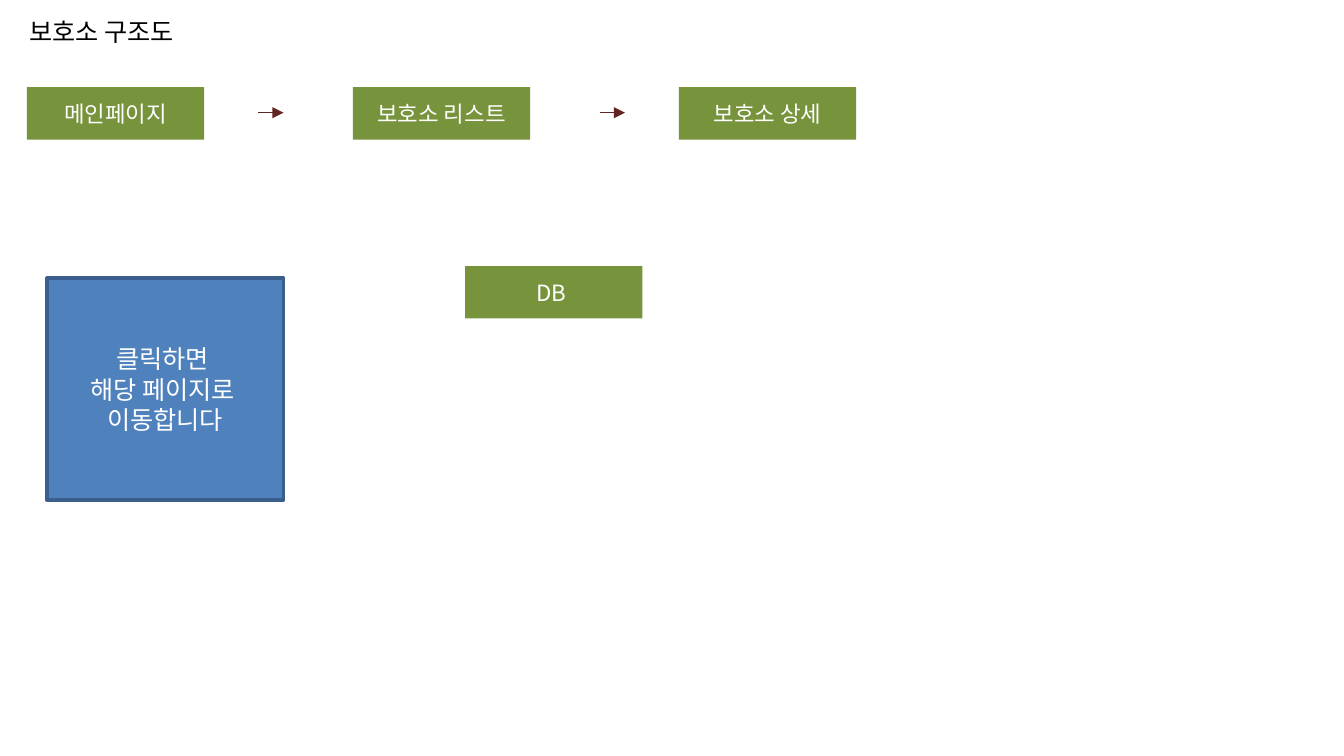
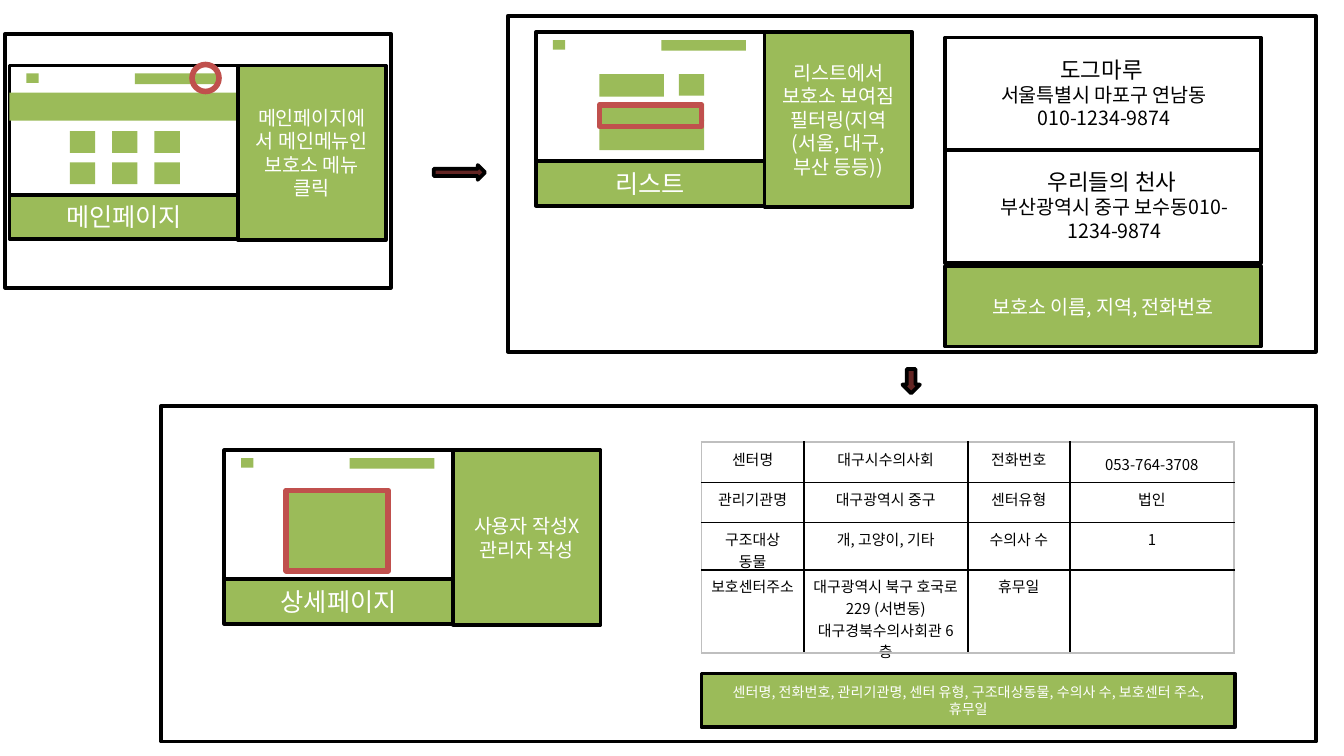
from lxml.etree import SubElement
from pptx import Presentation
from pptx.dml.color import RGBColor
from pptx.enum.shapes import MSO_CONNECTOR, MSO_SHAPE
from pptx.enum.text import MSO_ANCHOR, MSO_AUTO_SIZE, PP_ALIGN
from pptx.oxml.ns import qn
from pptx.util import Cm, Pt

FONT = "Noto Sans CJK KR"
COLORS = {
    "black": "000000",
    "white": "FFFFFF",
    "blue": "4F81BD",
    "blue_edge": "3A5F8C",
    "olive": "77933C",
    "green": "9BBB59",
    "maroon": "632523",
    "red": "C0504D",
    "grey": "BFBFBF",
}


def write(frame, text, size=10.5, lead_size=None, color="white",
          align=PP_ALIGN.CENTER, anchor=MSO_ANCHOR.MIDDLE):
    frame.word_wrap = True
    frame.vertical_anchor = anchor
    for number, line in enumerate(text.split("\n")):
        paragraph = frame.add_paragraph() if number else frame.paragraphs[0]
        paragraph.alignment = align
        run = paragraph.add_run()
        run.text = line
        run.font.name = FONT
        run.font.size = Pt(lead_size if lead_size and number == 0 else size)
        run.font.color.rgb = RGBColor.from_string(COLORS[color])
        SubElement(run._r.get_or_add_rPr(), qn("a:ea"), typeface=FONT)


def draw(slide, place, fill=None, line=None, weight=2, preset=MSO_SHAPE.RECTANGLE):
    shape = slide.shapes.add_shape(preset, *[Cm(length) for length in place])
    shape.shadow.inherit = False
    if fill:
        shape.fill.solid()
        shape.fill.fore_color.rgb = RGBColor.from_string(COLORS[fill])
    else:
        shape.fill.background()
    if line:
        shape.line.color.rgb = RGBColor.from_string(COLORS[line])
        shape.line.width = Pt(weight)
    else:
        shape.line.fill.background()
    return shape


prs = Presentation()
prs.slide_width, prs.slide_height = Cm(25.4), Cm(14.29)

structure = prs.slides.add_slide(prs.slide_layouts[5])
heading = structure.shapes.title
heading.left, heading.top, heading.width, heading.height = Cm(0.3), Cm(0.18), Cm(4.47), Cm(0.84)
write(heading.text_frame, "보호소 구조도", size=13.5, color="black",
      align=PP_ALIGN.LEFT, anchor=MSO_ANCHOR.TOP)
heading.text_frame.auto_size = MSO_AUTO_SIZE.SHAPE_TO_FIT_TEXT

click_note = draw(structure, (0.89, 5.26, 4.47, 4.19), "blue", "blue_edge")
write(click_note.text_frame, "클릭하면 \n해당 페이지로 \n이동합니다", size=13.5)

pages = [("메인페이지", 0.51, 1.65), ("보호소 리스트", 6.67, 1.65),
         ("보호소 상세", 12.83, 1.65), ("DB ", 8.79, 5.03)]
for page_name, left, top in pages:
    page = draw(structure, (left, top, 3.35, 0.99), "olive")
    write(page.text_frame, page_name, size=12)

for start in (4.88, 11.33):
    step = structure.shapes.add_connector(
        MSO_CONNECTOR.STRAIGHT, Cm(start), Cm(2.13), Cm(start + 0.48), Cm(2.13))
    step.line.color.rgb = RGBColor.from_string(COLORS["maroon"])
    step.line.width = Pt(0.75)
    SubElement(step.line._get_or_add_ln(), qn("a:tailEnd"), type="triangle")
    SubElement(step._element.spPr, qn("a:effectLst"))

flow = prs.slides.add_slide(prs.slide_layouts[6])
for stage in [(0.1, 0.64, 7.29, 4.8), (9.6, 0.3, 15.27, 6.35), (3.05, 7.67, 21.82, 6.35)]:
    draw(flow, stage, line="black")

main_tiles = [(1.32 + 0.8 * column, 2.48 + 0.59 * row, 0.48, 0.41)
              for row in range(2) for column in range(3)]
screens = [
    (0.18, 1.24, "메인페이지", "메인페이지에서 메인메뉴인 보호소 메뉴 클릭",
     main_tiles + [(0.18, 1.75, 4.32, 0.53)]),
    (10.13, 0.61, "리스트", "리스트에서 보호소 보여짐\n필터링(지역(서울, 대구, 부산 등등))",
     [(11.33, 1.4, 1.22, 0.43), (11.33, 2.26, 1.98, 0.58),
      (11.33, 1.96, 1.98, 0.33), (12.83, 1.4, 0.48, 0.41)]),
    (4.24, 8.51, "상세페이지", "사용자 작성X\n관리자 작성",
     [(5.38, 9.27, 1.98, 1.52)]),
]
for left, top, screen_name, description, blocks in screens:
    draw(flow, (left, top, 4.32, 2.44), line="black")
    menu = (left + 2.37, top + 0.15, 1.6, 0.2)
    home = (left + 0.32, top + 0.15, 0.23, 0.18)
    for block in blocks + [menu, home]:
        draw(flow, block, "green")
    caption = draw(flow, (left, top + 2.44, 4.32, 0.84), "green", "black")
    write(caption.text_frame, screen_name, size=13.5)
    side_note = draw(flow, (left + 4.32, top, 2.79, 3.3), "green", "black")
    write(side_note.text_frame, description)

shelters = [
    (0.71, 18.39, "도그마루 \n서울특별시 마포구 연남동\n010-1234-9874"),
    (2.84, 18.59, "우리들의 천사 \n부산광역시 중구 보수동010-1234-9874"),
]
for top, text_left, contact in shelters:
    draw(flow, (17.86, top, 5.97, 2.13), line="black")
    contact_box = flow.shapes.add_textbox(Cm(text_left), Cm(top + 0.22), Cm(4.95), Cm(1.68))
    write(contact_box.text_frame, contact, lead_size=12, color="black", anchor=MSO_ANCHOR.TOP)

summaries = [((17.86, 5.03, 5.97, 1.52), "보호소 이름, 지역, 전화번호", 10.5),
             ((13.26, 12.73, 10.08, 1.02),
              "센터명, 전화번호, 관리기관명, 센터 유형, 구조대상동물, 수의사 수, 보호센터 주소, 휴무일", 7.5)]
for place, fields, size in summaries:
    summary = draw(flow, place, "green", "black")
    write(summary.text_frame, fields, size=size)

center_rows = [
    ("센터명", "대구시수의사회", "전화번호", "053-764-3708"),
    ("관리기관명", "대구광역시 중구", "센터유형", "법인"),
    ("구조대상\n동물", "개, 고양이, 기타", "수의사 수", "1"),
    ("보호센터주소", "대구광역시 북구 호국로 229 (서변동) 대구경북수의사회관 6층", "휴무일", ""),
]
center_table = flow.shapes.add_table(4, 4, Cm(13.26), Cm(8.36), Cm(10.06), Cm(3.98)).table
center_table.first_row = False
center_table.horz_banding = False
for column, width in zip(center_table.columns, (1.93, 3.1, 1.93, 3.1)):
    column.width = Cm(width)
for row, height in zip(center_table.rows, (0.76, 0.76, 0.89, 1.57)):
    row.height = Cm(height)
for r, values in enumerate(center_rows):
    for c, value in enumerate(values):
        cell = center_table.cell(r, c)
        is_phone = (r, c) == (0, 3)
        cell.margin_left = cell.margin_right = Cm(0.2 if is_phone else 0.18)
        cell.margin_top = cell.margin_bottom = Cm(0.2 if is_phone else 0.1)
        if value:
            write(cell.text_frame, value, size=8, color="black")
        cell.vertical_anchor = MSO_ANCHOR.MIDDLE if is_phone else MSO_ANCHOR.TOP
        outer_edges = {"a:lnL": c == 0, "a:lnR": c == 3, "a:lnT": r == 0, "a:lnB": r == 3}
        for edge, is_outer in outer_edges.items():
            border = SubElement(cell._tc.get_or_add_tcPr(), qn(edge), w=str(Pt(1)))
            paint = SubElement(border, qn("a:solidFill"))
            SubElement(paint, qn("a:srgbClr"), val=COLORS["grey" if is_outer else "black"])
        cell.fill.background()

draw(flow, (8.2, 3.12, 0.97, 0.28), "maroon", "black", preset=MSO_SHAPE.RIGHT_ARROW)
down_arrow = draw(flow, (16.99, 7.04, 0.46, 0.33), "maroon", "black", preset=MSO_SHAPE.RIGHT_ARROW)
down_arrow.rotation = 90

highlights = [((5.41, 9.27, 1.93, 1.52), MSO_SHAPE.RECTANGLE),
              ((11.33, 1.98, 1.93, 0.41), MSO_SHAPE.RECTANGLE),
              ((3.63, 1.22, 0.51, 0.51), MSO_SHAPE.OVAL)]
for place, preset in highlights:
    draw(flow, place, line="red", weight=3, preset=preset)

prs.save("out.pptx")
